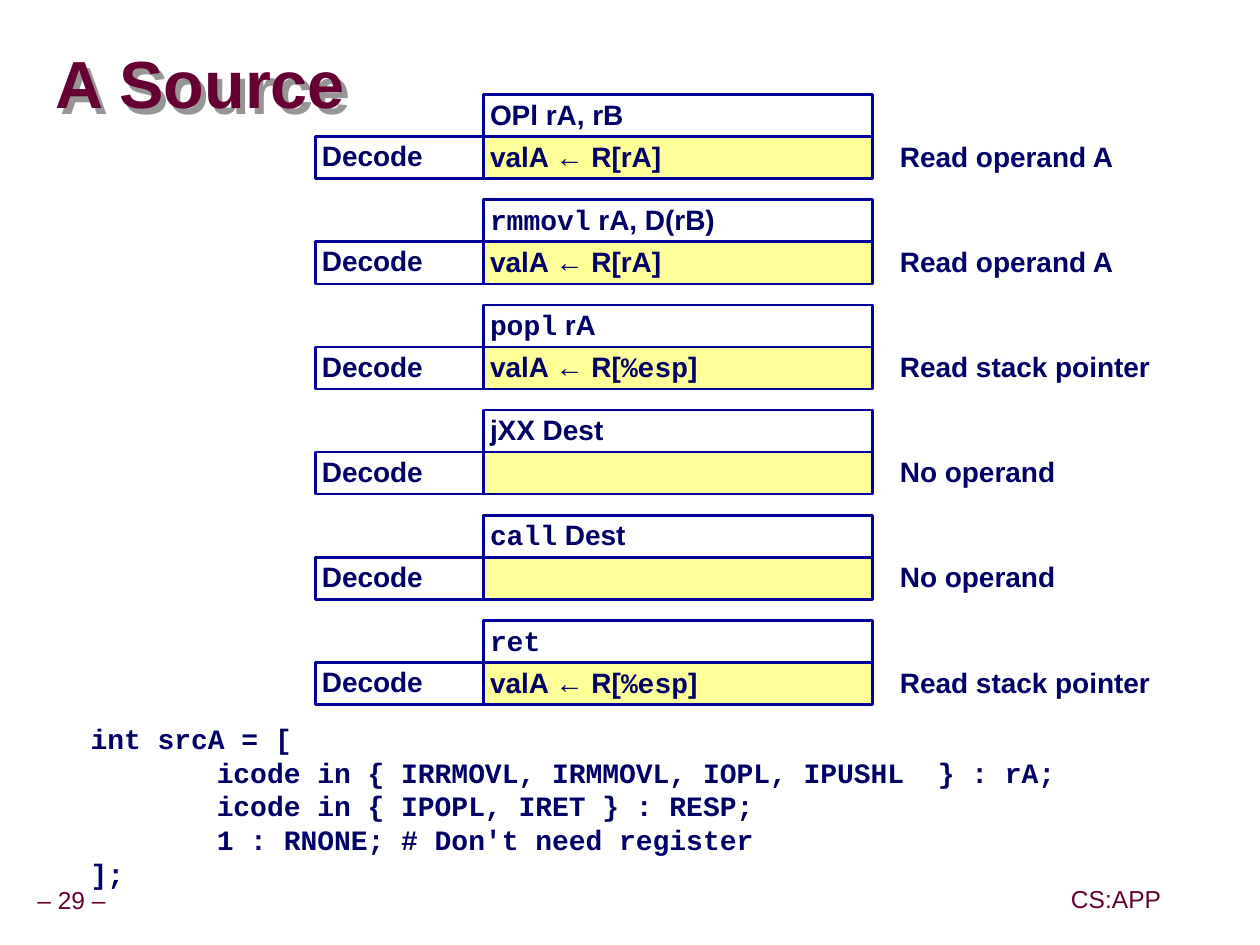
from dataclasses import dataclass

from lxml import etree
from pptx import Presentation
from pptx.dml.color import RGBColor
from pptx.enum.shapes import MSO_SHAPE as SHAPE
from pptx.enum.text import MSO_ANCHOR as ANCHOR, PP_ALIGN as ALIGN
from pptx.oxml import parse_xml
from pptx.oxml.ns import nsdecls, qn
from pptx.shapes.autoshape import Shape
from pptx.text.text import TextFrame
from pptx.util import Emu, Pt

PX = 9525  # EMU per px, 96 px to the inch
SANS, MONO = "Arial", "Courier New"
NAVY, OUTLINE, WINE, YELLOW, GREY = "000066", "000099", "660033", "FFFF99", "969696"

# Grid of the decode stages
STAGE_X, CELL_X, NOTE_X = 240, 368, 680
STAGE_W, CELL_W, NOTE_W = 128, 296, 279
ROW_H, FIRST_Y, PITCH = 32, 72, 80


@dataclass(frozen=True)
class Span:
    text: str
    font: str = SANS


@dataclass(frozen=True)
class Box:
    x: int
    y: int
    w: int
    h: int


@dataclass(frozen=True)
class Style:
    size: int = 16
    color: str = NAVY
    bold: bool = True
    spacing: float = 0.9
    anchor: ANCHOR = ANCHOR.TOP
    align: ALIGN = ALIGN.LEFT
    inset: int = 5
    wrap: bool = True


@dataclass(frozen=True)
class Instruction:
    name: list[Span]
    action: list[Span]
    note: str


READ_A = [Span("valA ← R[rA]")]
READ_ESP = [Span("valA ← R["), Span("%esp", MONO), Span("]")]
INSTRUCTIONS = [
    Instruction([Span("OPl rA, rB")], READ_A, "Read operand A"),
    Instruction([Span("rmmovl", MONO), Span(" rA, D(rB)")], READ_A, "Read operand A"),
    Instruction([Span("popl", MONO), Span(" rA")], READ_ESP, "Read stack pointer"),
    Instruction([Span("jXX Dest")], [], "No operand"),
    Instruction([Span("call", MONO), Span(" Dest")], [], "No operand"),
    Instruction([Span("ret", MONO)], READ_ESP, "Read stack pointer"),
]
CODE = [
    "int srcA = [",
    "\ticode in { IRRMOVL, IRMMOVL, IOPL, IPUSHL  } : rA;",
    "\ticode in { IPOPL, IRET } : RESP;",
    "\t1 : RNONE; # Don't need register",
    "];",
]

PLAIN = Style()
MIDDLE = Style(anchor=ANCHOR.MIDDLE)
LISTING = Style(spacing=1.0)
HEADING = Style(38, WINE, spacing=0.87, anchor=ANCHOR.MIDDLE, inset=0)
FOOTER = Style(14, WINE, False, anchor=ANCHOR.MIDDLE, align=ALIGN.CENTER, wrap=False)


def px(n: int) -> Emu:
    return Emu(n * PX)


def rgb(color: str) -> RGBColor:
    return RGBColor.from_string(color)


def write(tf: TextFrame, lines: list[list[Span]], style: Style) -> None:
    tf.word_wrap = style.wrap
    tf.vertical_anchor = style.anchor
    tf.margin_left = tf.margin_right = tf.margin_top = tf.margin_bottom = px(style.inset)
    for i, spans in enumerate(lines):
        p = tf.add_paragraph() if i else tf.paragraphs[0]
        p.alignment = style.align
        p.line_spacing = style.spacing
        for span in spans:
            r = p.add_run()
            r.text = span.text
            r.font.name = span.font
            r.font.size = Pt(style.size)
            r.font.bold = style.bold
            r.font.color.rgb = rgb(style.color)


def add_text(shapes, box: Box, lines: list[list[Span]], style: Style) -> Shape:
    sp = shapes.add_textbox(px(box.x), px(box.y), px(box.w), px(box.h))
    write(sp.text_frame, lines, style)
    return sp


def add_cell(shapes, box: Box, spans: list[Span], style: Style, fill: str = "") -> None:
    sp = shapes.add_shape(SHAPE.RECTANGLE, px(box.x), px(box.y), px(box.w), px(box.h))
    sp.shadow.inherit = False
    if fill:
        sp.fill.solid()
        sp.fill.fore_color.rgb = rgb(fill)
    else:
        sp.fill.background()
    sp.line.color.rgb = rgb(OUTLINE)
    sp.line.width = Pt(1.5)
    write(sp.text_frame, [spans], style)


def add_stage(shapes, y: int, ins: Instruction) -> None:
    decode_y = y + ROW_H
    add_cell(shapes, Box(CELL_X, y, CELL_W, ROW_H), ins.name, PLAIN)
    add_cell(shapes, Box(CELL_X, decode_y, CELL_W, ROW_H), ins.action, PLAIN, YELLOW)
    add_cell(shapes, Box(STAGE_X, decode_y, STAGE_W, ROW_H), [Span("Decode")], MIDDLE)
    add_text(shapes, Box(NOTE_X, decode_y, NOTE_W, ROW_H), [[Span(ins.note)]], PLAIN)


def add_title(shapes) -> None:
    sp = add_text(shapes, Box(42, 26, 914, 82), [[Span("A Source")]], HEADING)
    # An unfilled box casts the shadow of its text
    sp._element.spPr.append(parse_xml(
        f'<a:effectLst {nsdecls("a")}>'
        '<a:outerShdw dist="53882" dir="2700000" algn="ctr" rotWithShape="0">'
        f'<a:srgbClr val="{GREY}"/></a:outerShdw></a:effectLst>'))


def add_code(shapes) -> None:
    lines = [[Span(line, MONO)] for line in CODE]
    sp = add_text(shapes, Box(64, 544, 840, 138), lines, LISTING)
    for p in sp.text_frame.paragraphs:
        tabs = etree.SubElement(p._p.get_or_add_pPr(), qn("a:tabLst"))
        etree.SubElement(tabs, qn("a:tab"), pos=str(px(96)), algn="l")


def main() -> None:
    prs = Presentation()
    prs.slide_width, prs.slide_height = px(959), px(719)
    shapes = prs.slides.add_slide(prs.slide_layouts[6]).shapes

    # Footer
    add_text(shapes, Box(0, 671, 109, 30), [[Span("– 29 –")]], FOOTER)
    add_text(shapes, Box(810, 670, 79, 30), [[Span("CS:APP")]], FOOTER)

    # Title, decode stages and listing
    add_title(shapes)
    for i, ins in enumerate(INSTRUCTIONS):
        add_stage(shapes, FIRST_Y + i * PITCH, ins)
    add_code(shapes)

    prs.save("out.pptx")


if __name__ == "__main__":
    main()
